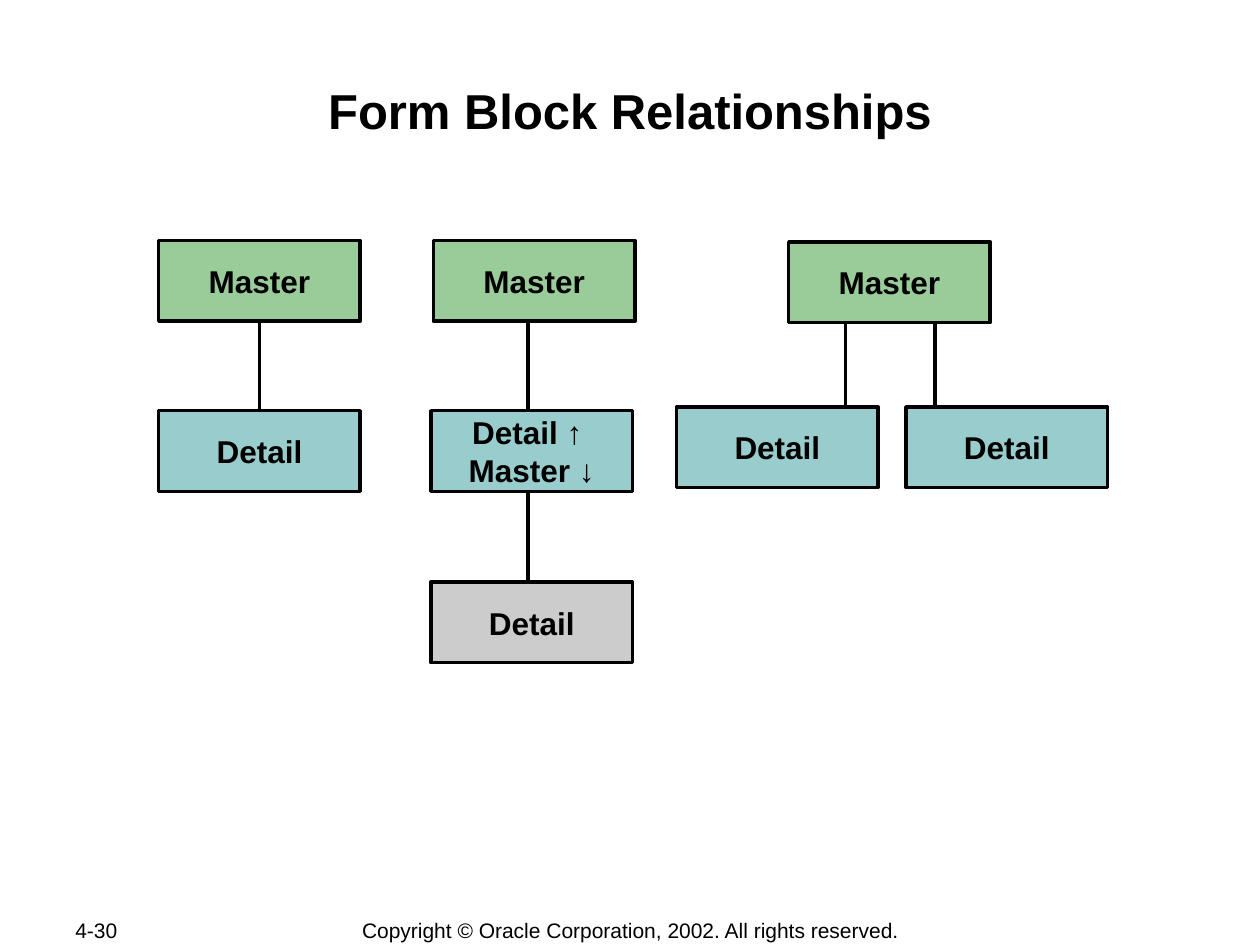
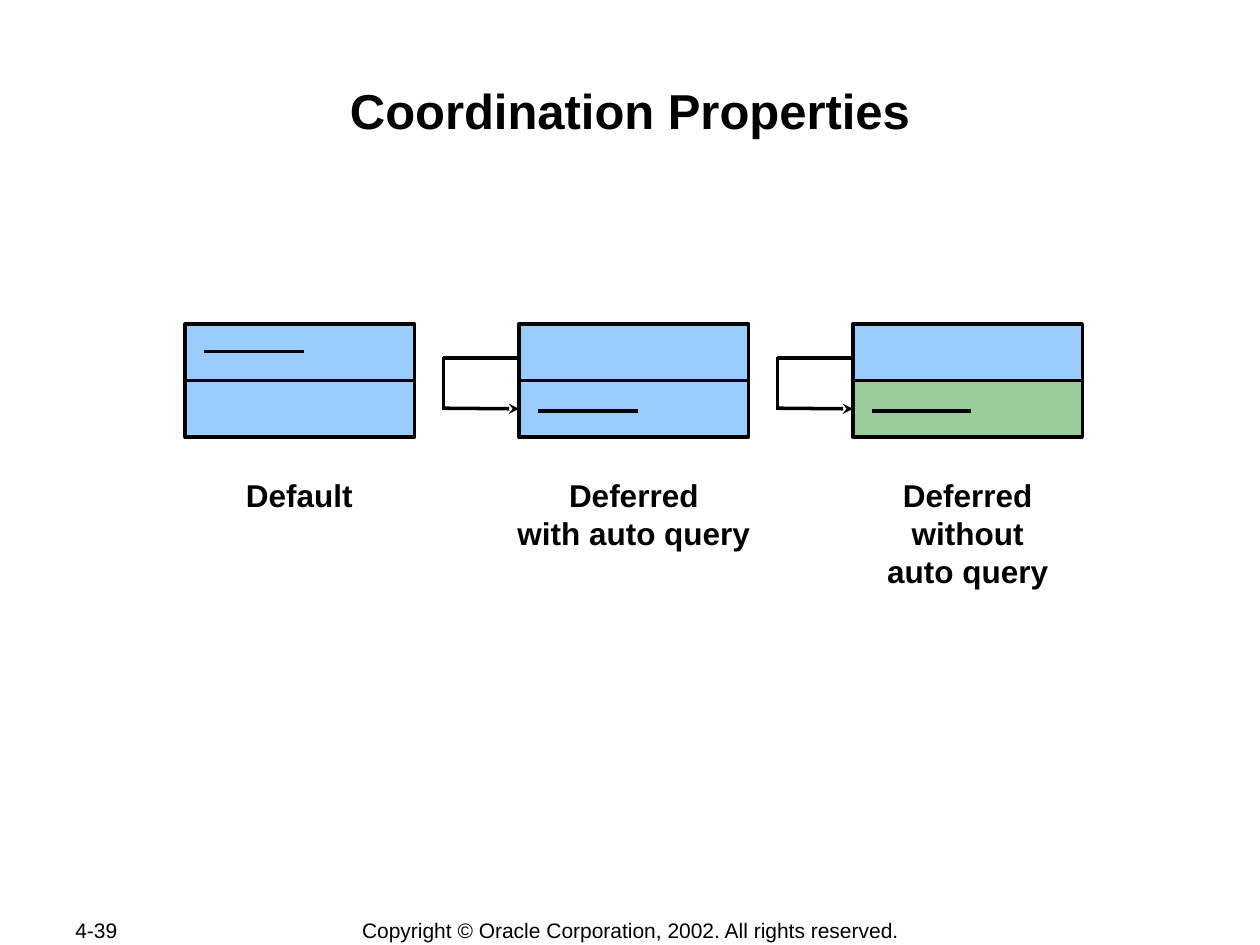
from lxml import etree
from pptx import Presentation
from pptx.dml.color import RGBColor
from pptx.enum.shapes import MSO_CONNECTOR, MSO_SHAPE
from pptx.enum.text import MSO_ANCHOR, PP_ALIGN
from pptx.oxml.ns import qn
from pptx.util import Pt

RECTANGLE = MSO_SHAPE.RECTANGLE
STRAIGHT = MSO_CONNECTOR.STRAIGHT
TOP, MIDDLE = MSO_ANCHOR.TOP, MSO_ANCHOR.MIDDLE
CENTER, JUSTIFY = PP_ALIGN.CENTER, PP_ALIGN.JUSTIFY
TOP_SIDE, LEFT_SIDE, BOTTOM_SIDE = 0, 1, 2

BLACK = RGBColor(0x00, 0x00, 0x00)
GREEN = RGBColor(0x99, 0xCC, 0x99)
TEAL = RGBColor(0x99, 0xCC, 0xCC)
GRAY = RGBColor(0xCC, 0xCC, 0xCC)
BLUE = RGBColor(0x99, 0xCC, 0xFF)

FONT = "Arial"
COPYRIGHT = "Copyright © Oracle Corporation, 2002. All rights reserved."
PX = 9144  # 100 px to the inch


class SlideBuilder:
    """Holds the shared style and the current slide."""

    def __init__(self):
        self.deck = Presentation()
        self.deck.slide_width = 1000 * PX
        self.deck.slide_height = 750 * PX
        self.page = None

    def start_page(self, title, number):
        self.page = self.deck.slides.add_slide(self.deck.slide_layouts[6])
        self.text(50, 728, 106, 20, number, 12, align=JUSTIFY, anchor=MIDDLE)
        self.text(276, 728, 449, 21, COPYRIGHT, 12, anchor=MIDDLE, wrap=False)
        heading = self.text(100, 58, 800, 96, title, 28, bold=True)
        heading.text_frame.margin_top = 6 * PX

    def set_text(self, shape, text, size, bold, align, anchor, wrap):
        frame = shape.text_frame
        frame.word_wrap = wrap
        frame.vertical_anchor = anchor
        frame.text = text
        for para in frame.paragraphs:
            para.alignment = align
            for span in para.runs:
                span.font.name = FONT
                span.font.size = Pt(size)
                span.font.bold = bold
                span.font.color.rgb = BLACK

    def text(self, left, top, width, height, text, size, bold=False,
             align=CENTER, anchor=TOP, wrap=True):
        box = self.page.shapes.add_textbox(left * PX, top * PX, width * PX, height * PX)
        self.set_text(box, text, size, bold, align, anchor, wrap)
        return box

    def box(self, left, top, width, height, fill, text=""):
        shape = self.page.shapes.add_shape(
            RECTANGLE, left * PX, top * PX, width * PX, height * PX)
        shape.shadow.inherit = False
        shape.fill.solid()
        shape.fill.fore_color.rgb = fill
        shape.line.color.rgb = BLACK
        shape.line.width = Pt(2)
        if text:
            self.set_text(shape, text, 18, True, CENTER, MIDDLE, True)
        return shape

    def line(self, x1, y1, x2, y2, arrow=False):
        connector = self.page.shapes.add_connector(
            STRAIGHT, x1 * PX, y1 * PX, x2 * PX, y2 * PX)
        connector.line.color.rgb = BLACK
        connector.line.width = Pt(2)
        properties = connector._element.spPr
        if arrow:
            outline = properties.find(qn("a:ln"))
            etree.SubElement(outline, qn("a:tailEnd"), type="stealth")
        etree.SubElement(properties, qn("a:effectLst"))
        return connector


def form_block_relationships(builder):
    builder.start_page("Form Block Relationships", "4-30")
    width, height = 160, 64

    def block(left, top, fill, text):
        return builder.box(left, top, width, height, fill, text)

    # One master with one detail
    master = block(126, 191, GREEN, "Master")
    detail = block(126, 326, TEAL, "Detail")
    link = builder.line(206, 255, 206, 326)
    link.begin_connect(master, BOTTOM_SIDE)
    link.end_connect(detail, TOP_SIDE)

    # Chain of three blocks
    for top in (255, 390):
        builder.line(419, top, 419, top + 72)
    block(344, 191, GREEN, "Master")
    block(342, 326, TEAL, "Detail ↑ \vMaster ↓")
    block(342, 462, GRAY, "Detail")

    # One master with two details
    for x in (671, 742):
        builder.line(x, 256, x, 323)
    block(626, 192, GREEN, "Master")
    for left in (537, 719):
        block(left, 323, TEAL, "Detail")


def coordination_properties(builder):
    builder.start_page("Coordination Properties", "4-39")
    width, height, top, pitch = 182, 45, 257, 265
    # Label, label width, detail fill, height of the record mark, has arrow
    modes = [
        ("Default", 105, BLUE, 279, False),
        ("Deferred\nwith auto query", 258, BLUE, 326, True),
        ("Deferred\nwithout\nauto query", 148, GREEN, 326, True),
    ]
    for index, (label, label_width, fill, mark, has_arrow) in enumerate(modes):
        left = 147 + index * pitch

        # Master block above its detail block
        builder.box(left, top, width, height, BLUE)
        detail = builder.box(left, top + height, width, height, fill)
        builder.line(left + 15, mark, left + 94, mark)

        # Label below
        label_height = 10 + 30 * len(label.splitlines())
        label_left = left + (width - label_width) // 2
        builder.text(label_left, 373, label_width, label_height, label, 18,
                     bold=True, wrap=False)

        # Path from master to detail
        if has_arrow:
            turn = left - 60
            builder.line(left, 284, turn, 284)
            builder.line(turn, 283, turn, 325)
            arrow = builder.line(turn, 324, left, 324, arrow=True)
            arrow.end_connect(detail, LEFT_SIDE)


def main():
    builder = SlideBuilder()
    form_block_relationships(builder)
    coordination_properties(builder)
    builder.deck.save("out.pptx")


if __name__ == "__main__":
    main()
